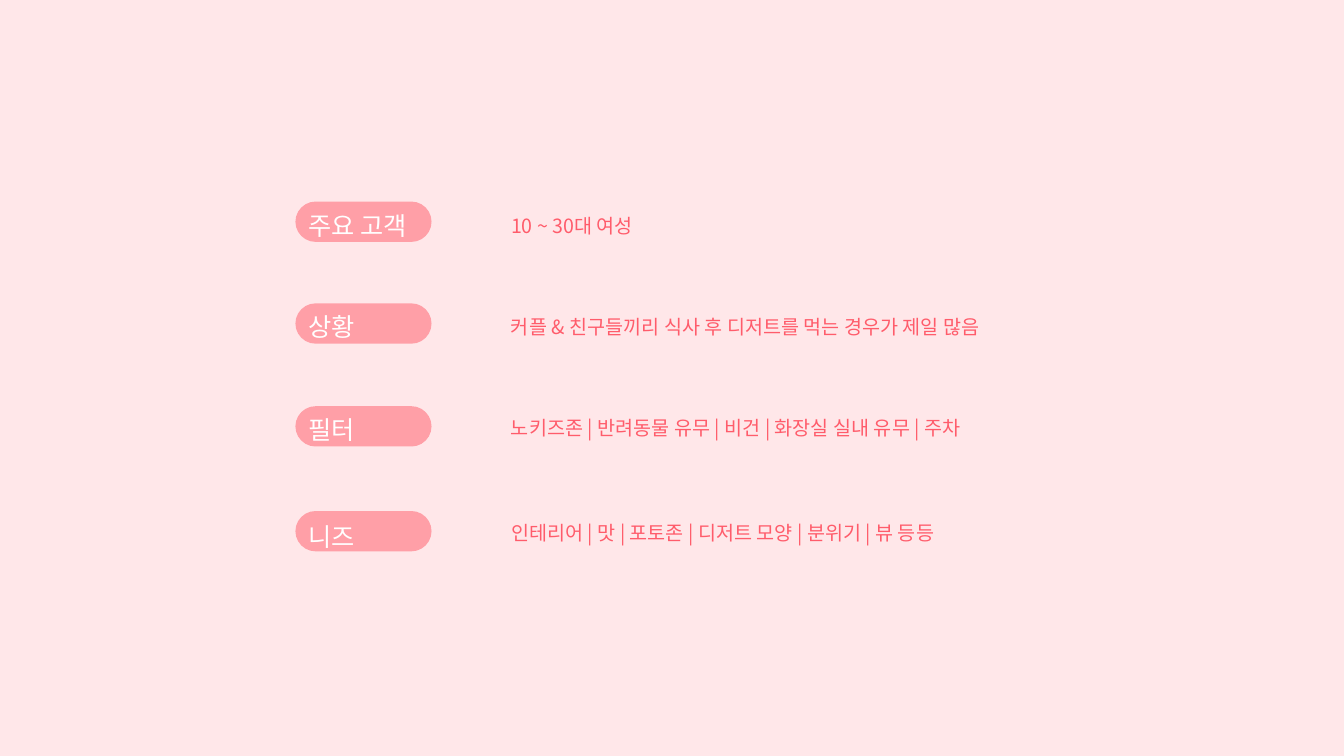
from lxml import etree
from pptx import Presentation
from pptx.dml.color import RGBColor
from pptx.enum.shapes import MSO_SHAPE
from pptx.enum.text import MSO_AUTO_SIZE
from pptx.oxml.ns import qn
from pptx.util import Inches, Pt

ROUNDED = MSO_SHAPE.ROUNDED_RECTANGLE
GROW = MSO_AUTO_SIZE.SHAPE_TO_FIT_TEXT

BLUSH = RGBColor(0xFF, 0xE7, 0xE9)
PINK = RGBColor(0xFF, 0x9F, 0xA7)
CORAL = RGBColor(0xFF, 0x5C, 0x6B)
WHITE = RGBColor(0xFF, 0xFF, 0xFF)

# pill top, label top, label, detail width, detail
CUSTOMER_ROWS = [
    (2.00, 2.04, "주요 고객", 1.65, "10 ~ 30대 여성"),
    (3.01, 3.04, "상황", 5.24, "커플 & 친구들끼리 식사 후 디저트를 먹는 경우가 제일 많음"),
    (4.03, 4.06, "필터", 5.14, "노키즈존 | 반려동물 유무 | 비건 | 화장실 실내 유무 | 주차"),
    (5.07, 5.12, "니즈", 4.81, "인테리어 | 맛 | 포토존 | 디저트 모양 | 분위기 | 뷰 등등"),
]


class CustomerPage:
    font_name = "Noto Sans CJK KR"

    def __init__(self, deck):
        self.page = deck.slides.add_slide(deck.slide_layouts[6])
        background = self.page.background.fill
        background.solid()
        background.fore_color.rgb = BLUSH

    def pill(self, left, top):
        shape = self.page.shapes.add_shape(
            ROUNDED, Inches(left), Inches(top), Inches(1.35), Inches(0.4))
        shape.adjustments[0] = 0.5
        shape.shadow.inherit = False
        shape.fill.solid()
        shape.fill.fore_color.rgb = PINK
        shape.line.fill.background()

    def text(self, left, top, width, height, words, size, color):
        box = self.page.shapes.add_textbox(
            Inches(left), Inches(top), Inches(width), Inches(height))
        frame = box.text_frame
        frame.word_wrap = True
        frame.auto_size = GROW
        frame.text = words
        span = frame.paragraphs[0].runs[0]
        span.font.size = Pt(size)
        span.font.name = self.font_name
        span.font.color.rgb = color
        east_asian = etree.SubElement(span.font._element, qn("a:ea"))
        east_asian.set("typeface", self.font_name)
        span.font._element.find(qn("a:latin")).addnext(east_asian)


def main():
    deck = Presentation()
    deck.slide_width = Inches(13.33)
    deck.slide_height = Inches(7.5)
    customer_page = CustomerPage(deck)
    for pill_top, label_top, label, detail_width, detail in CUSTOMER_ROWS:
        customer_page.pill(2.93, pill_top)
        customer_page.text(2.96, label_top, 1.27, 0.4, label, 18, WHITE)
        detail_top = round(pill_top + 0.05, 2) if pill_top > 3.5 else pill_top + 0.07
        customer_page.text(4.97, detail_top, detail_width, 0.34, detail, 14, CORAL)
    deck.save("out.pptx")


if __name__ == "__main__":
    main()
